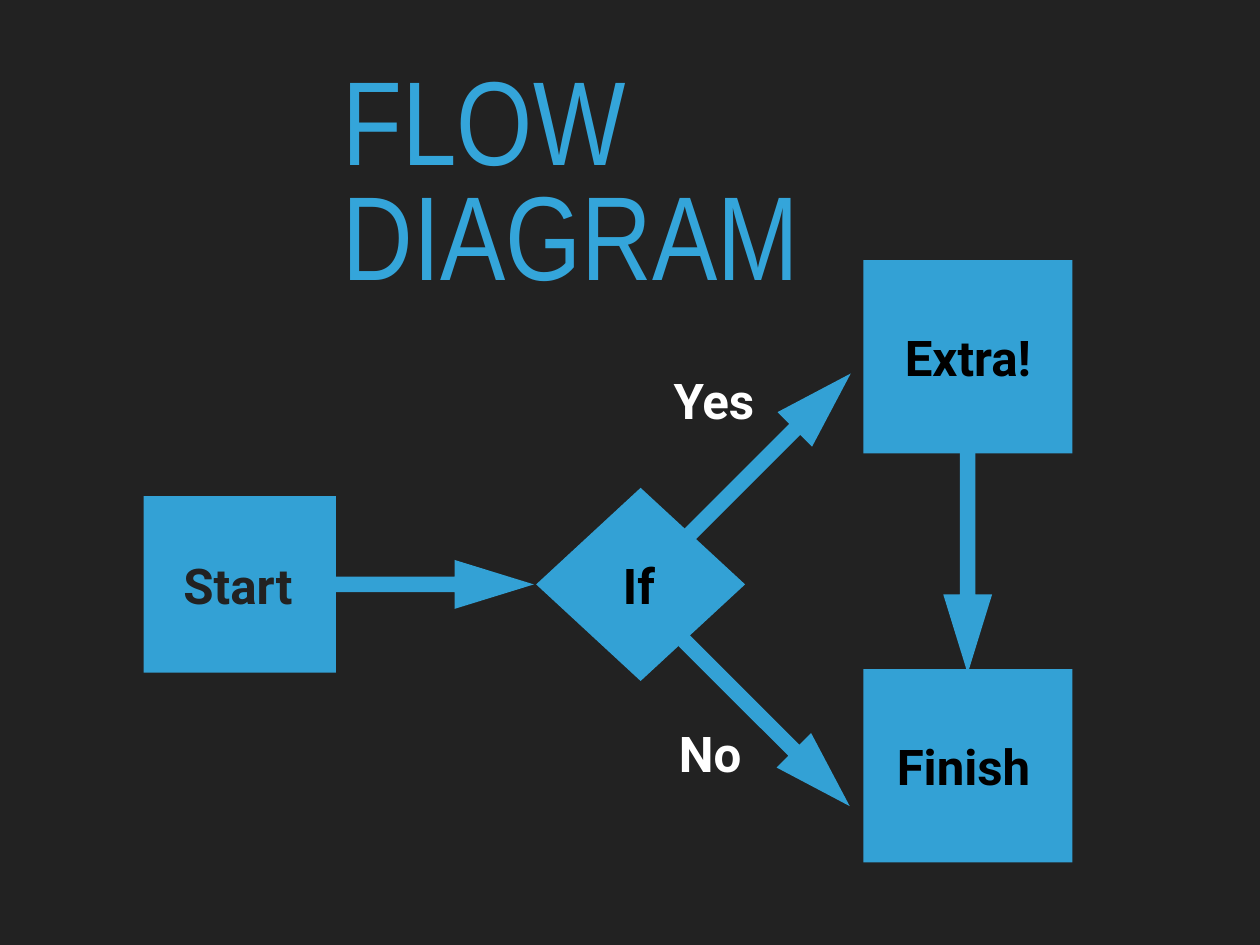
from pptx import Presentation
from pptx.dml.color import RGBColor
from pptx.enum.shapes import MSO_SHAPE as Shape
from pptx.enum.text import MSO_ANCHOR as Anchor, PP_ALIGN as Align
from pptx.util import Cm, Pt

COLORS = {
    "background": "222222",
    "blue": "33A1D5",
    "title": "34A5DA",
    "black": "000000",
    "white": "FFFFFF",
}
INSET = Cm(0.14)
ARROW_LENGTH, ARROW_HEIGHT = 6.73, 1.4
LABEL_HEIGHT = 2.24


def color(name):
    return RGBColor.from_string(COLORS[name])


def set_attributes(target, values):
    for name, value in values.items():
        setattr(target, name, value)


class FlowDiagram:
    def __init__(self, slide):
        self.slide = slide
        slide.background.fill.solid()
        slide.background.fill.fore_color.rgb = color("background")

    def node(self, kind, left, top, width, height):
        shape = self.slide.shapes.add_shape(
            kind, Cm(left), Cm(top), Cm(width), Cm(height))
        shape.shadow.inherit = False
        shape.fill.solid()
        shape.fill.fore_color.rgb = color("blue")
        shape.line.fill.background()
        return shape

    def arrow(self, center_x, center_y, rotation):
        shape = self.node(
            Shape.RIGHT_ARROW, center_x - ARROW_LENGTH / 2,
            center_y - ARROW_HEIGHT / 2, ARROW_LENGTH, ARROW_HEIGHT)
        shape.rotation = rotation
        shape.adjustments[0] = 0.32
        shape.adjustments[1] = 1.62

    def text(self, words, box, frame_format, paragraph_format, font_format, ink):
        frame = self.slide.shapes.add_textbox(*map(Cm, box)).text_frame
        insets = dict.fromkeys(
            ("margin_left", "margin_top", "margin_right", "margin_bottom"), INSET)
        set_attributes(frame, insets | frame_format)
        paragraph = frame.paragraphs[0]
        set_attributes(paragraph, {"alignment": Align.LEFT} | paragraph_format)
        run = paragraph.add_run()
        run.text = words
        set_attributes(run.font, font_format)
        run.font.color.rgb = color(ink)

    def title(self, words, *box):
        self.text(words, box,
                  {"word_wrap": True, "vertical_anchor": Anchor.TOP},
                  {"line_spacing": 0.8, "space_before": Pt(21)},
                  {"name": "Arial Narrow", "size": Pt(97)}, "title")

    def label(self, words, left, top, width, ink):
        self.text(words, (left, top, width, LABEL_HEIGHT),
                  {"word_wrap": False, "vertical_anchor": Anchor.MIDDLE},
                  {"space_before": Pt(24)},
                  {"name": "Roboto", "size": Pt(40), "bold": True}, ink)


presentation = Presentation()
presentation.slide_width, presentation.slide_height = Cm(36.12), Cm(27.1)
diagram = FlowDiagram(
    presentation.slides.add_slide(presentation.slide_layouts[6]))

# Title
diagram.title("FLOW DIAGRAM", 9.69, 1.99, 16.74, 3.94)

# Arrows: start to if, yes, no, extra to finish
for center_x, center_y, rotation in (
        (11.94, 16.76, 0), (22.01, 13.09, 315),
        (21.98, 20.74, 45), (27.74, 15.95, 90)):
    diagram.arrow(center_x, center_y, rotation)

# Steps and decision
diagram.node(Shape.RECTANGLE, 4.12, 14.23, 5.51, 5.06)
for kind, left, top in (
        (Shape.DIAMOND, 15.37, 13.99),
        (Shape.RECTANGLE, 24.75, 7.46),
        (Shape.RECTANGLE, 24.75, 19.19)):
    diagram.node(kind, left, top, 5.99, 5.54)

# Labels
for words, left, top, width, ink in (
        ("Start", 5.12, 15.66, 3.78, "background"),
        ("If", 17.72, 15.65, 1.27, "black"),
        ("Extra!", 25.8, 9.12, 4.37, "black"),
        ("Finish", 25.57, 20.85, 4.34, "black"),
        ("Yes", 19.17, 10.36, 2.62, "white"),
        ("No", 19.32, 20.47, 2.34, "white")):
    diagram.label(words, left, top, width, ink)

presentation.save("out.pptx")
